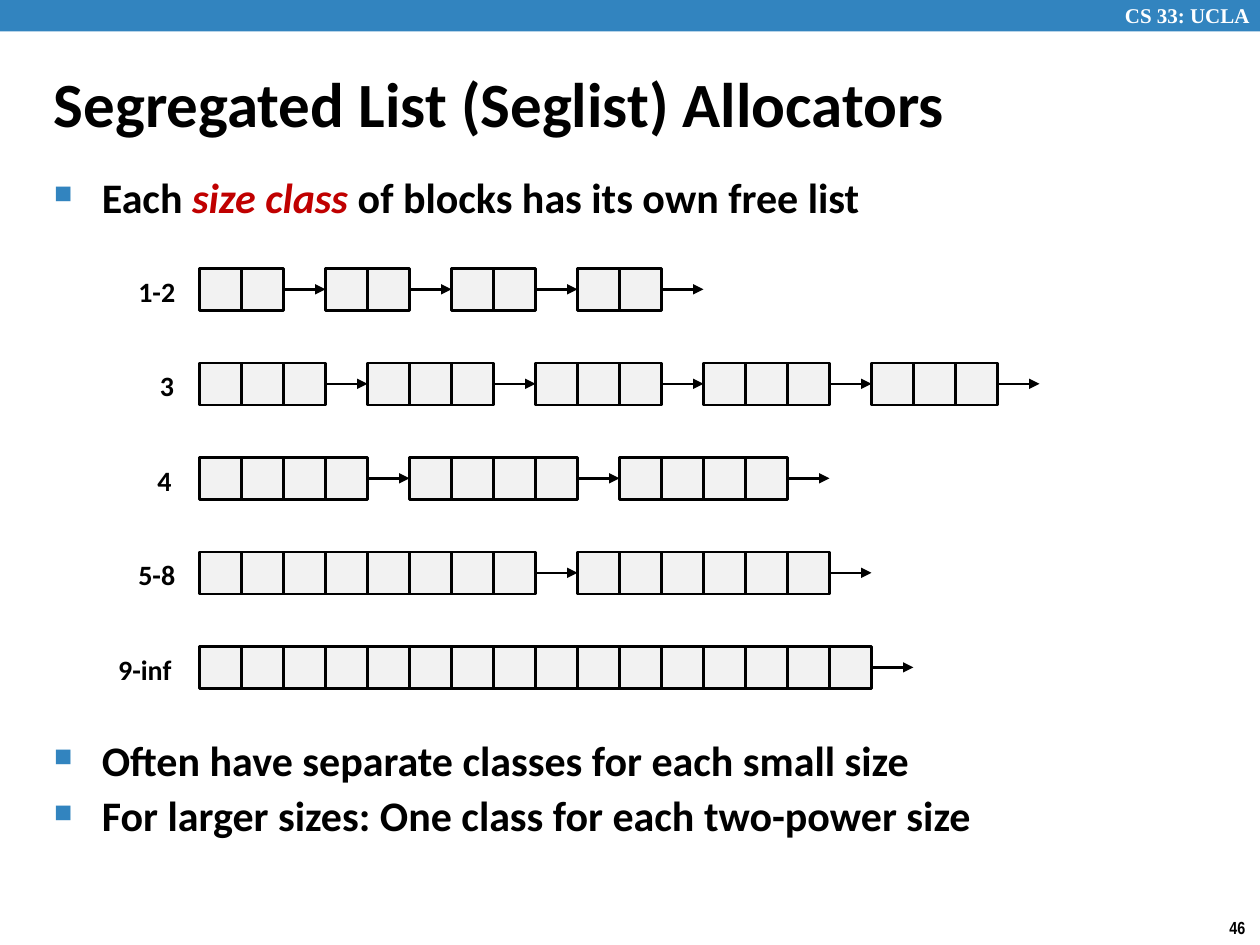
import pptx
import pptx.util
import pptx.dml.color
import pptx.enum.shapes
import pptx.enum.text
import pptx.oxml
import pptx.oxml.ns
from lxml import etree

Inches = pptx.util.Inches
Pt = pptx.util.Pt
COLORS = {"bar": "3284BF", "cell": "F2F2F2", "ink": "000000", "key": "C00000", "white": "FFFFFF"}
FONT = "Calibri"
SIDE = 1 / 3
LEFT = 19 / 12
TOP = 2.13
PITCH = 0.75
ROWS = [
    ("1-2", 1.0, 0.5, [2, 2, 2, 2]),
    ("3", 1.17, 0.32, [3, 3, 3, 3, 3]),
    ("4", 1.15, 0.32, [4, 4, 4]),
    ("5-8", 1.0, 0.5, [8, 6]),
    ("9-inf", 0.84, 0.63, [16]),
]


def rgb(name):
    return pptx.dml.color.RGBColor.from_string(COLORS[name])


class Deck:
    def __init__(self, slide):
        self.slide = slide
        self.shapes = slide.shapes

    def rect(self, x, y, w, h, fill, line=None):
        box = self.shapes.add_shape(
            pptx.enum.shapes.MSO_SHAPE.RECTANGLE, Inches(x), Inches(y), Inches(w), Inches(h))
        box.shadow.inherit = False
        box.fill.solid()
        box.fill.fore_color.rgb = rgb(fill)
        if line:
            box.line.color.rgb = rgb(line)
            box.line.width = Pt(1.5)
        else:
            box.line.fill.background()
        return box

    def style(self, para, size, font=FONT, color="ink"):
        para.font.size = Pt(size)
        para.font.name = font
        para.font.bold = True
        para.font.color.rgb = rgb(color)

    def frame(self, x, y, w, h, wrap=True):
        frame = self.shapes.add_textbox(Inches(x), Inches(y), Inches(w), Inches(h)).text_frame
        frame.word_wrap = wrap
        return frame

    def text(self, x, y, w, h, words, size, font=FONT, color="ink", wrap=False):
        frame = self.frame(x, y, w, h, wrap)
        para = frame.paragraphs[0]
        para.text = words
        self.style(para, size, font, color)
        return frame

    def title(self, x, y, w, h, words):
        frame = self.text(x, y, w, h, words, 36, wrap=True)
        frame.vertical_anchor = pptx.enum.text.MSO_ANCHOR.MIDDLE
        frame.paragraphs[0].line_spacing = 0.87

    def points(self, x, y, w, h, items):
        frame = self.frame(x, y, w, h)
        for i, runs in enumerate(items):
            para = frame.add_paragraph() if i else frame.paragraphs[0]
            para.line_spacing = 0.95
            para.space_before = Pt(4.3 if i else 0)
            self.bullet(para)
            self.style(para, 24)
            for words, key in runs:
                run = para.add_run()
                run.text = words
                if key:
                    run.font.italic = True
                    run.font.color.rgb = rgb("key")

    def bullet(self, para):
        props = para._p.get_or_add_pPr()
        props.set("marL", str(Inches(0.38)))
        props.set("indent", str(Inches(-0.38)))
        qn = pptx.oxml.ns.qn
        tint = etree.SubElement(props, qn("a:buClr"))
        etree.SubElement(tint, qn("a:srgbClr"), val=COLORS["bar"])
        etree.SubElement(props, qn("a:buSzPct"), val="60000")
        etree.SubElement(props, qn("a:buChar"), char="■")

    def block(self, x, y, count):
        cells = [self.rect(x + i * SIDE, y, SIDE, SIDE, "cell", "ink") for i in range(count)]
        return cells[0], cells[-1]

    def arrow(self, x, y, start, end=None):
        line = self.shapes.add_connector(
            pptx.enum.shapes.MSO_CONNECTOR.STRAIGHT,
            Inches(x), Inches(y), Inches(x + SIDE), Inches(y))
        line.begin_connect(start, 3)
        if end is not None:
            line.end_connect(end, 1)
        line.line.color.rgb = rgb("ink")
        line.line.width = Pt(1.5)
        qn = pptx.oxml.ns.qn
        etree.SubElement(line.line._get_or_add_ln(), qn("a:tailEnd"), type="triangle")
        etree.SubElement(line._element.spPr, qn("a:effectLst"))

    def chain(self, y, counts):
        x = LEFT
        ends = []
        for count in counts:
            first, last = self.block(x, y, count)
            x += count * SIDE
            ends.append((first, last, x))
            x += SIDE
        heads = [first for first, last, edge in ends[1:]] + [None]
        for (first, last, edge), head in zip(ends, heads):
            self.arrow(edge, y + SIDE / 2, last, head)


def main():
    show = pptx.Presentation()
    show.slide_width = Inches(10)
    show.slide_height = Inches(7.5)
    deck = Deck(show.slides.add_slide(show.slide_layouts[6]))

    deck.rect(0, 0, 10, 0.25, "bar")
    deck.text(8.83, -0.03, 1.24, 0.3, "CS 33: UCLA", 12, "Times New Roman", "white")
    deck.text(9.66, 7.23, 0.34, 0.27, "46", 10, "Arial Narrow")
    deck.title(0.33, 0.54, 9, 0.63, "Segregated List (Seglist) Allocators")
    deck.points(0.33, 1.34, 9.09, 0.5, [
        [("Each ", False), ("size class ", True), ("of blocks has its own free list", False)],
    ])
    deck.points(0.33, 5.81, 9.09, 1.28, [
        [("Often have separate classes for each small size", False)],
        [("For larger sizes: One class for each two-power size", False)],
    ])
    for i, (label, x, w, counts) in enumerate(ROWS):
        y = TOP + i * PITCH
        deck.text(x, y, w, 0.37, label, 16)
        deck.chain(y, counts)

    show.save("out.pptx")


if __name__ == "__main__":
    main()
